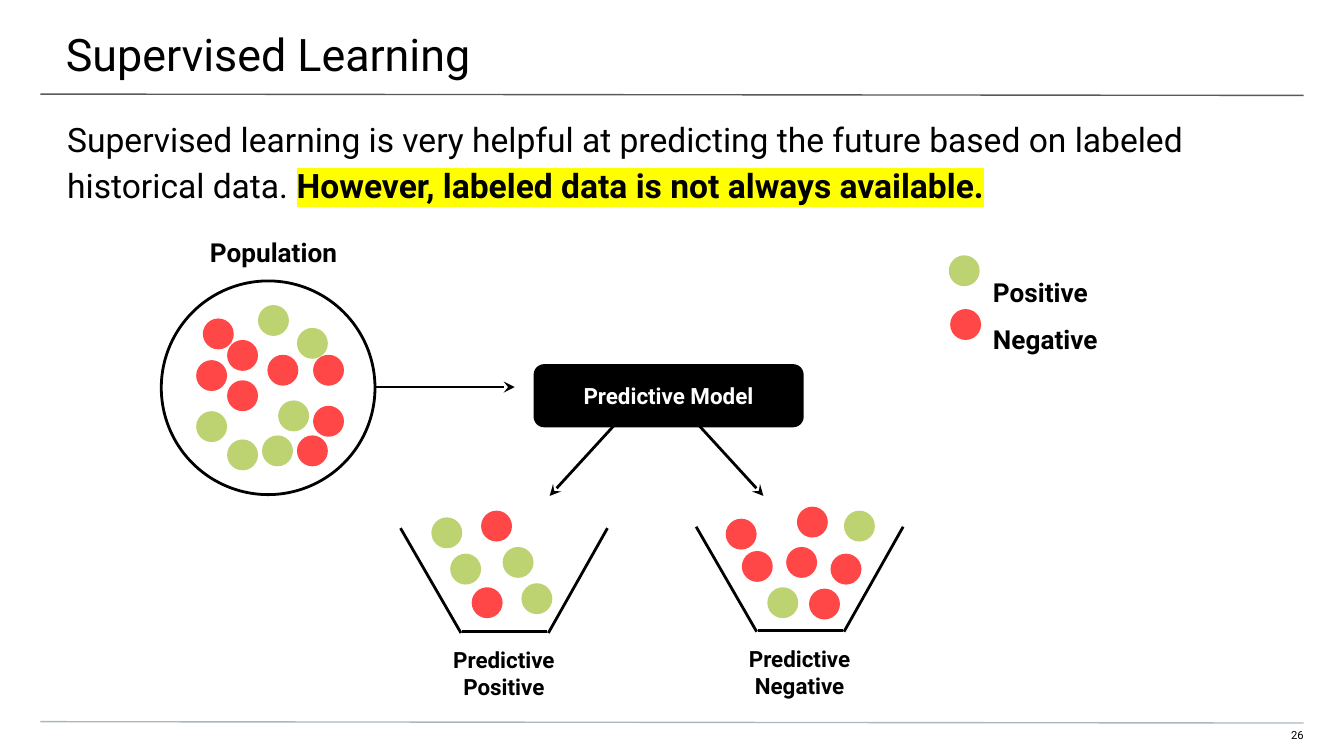
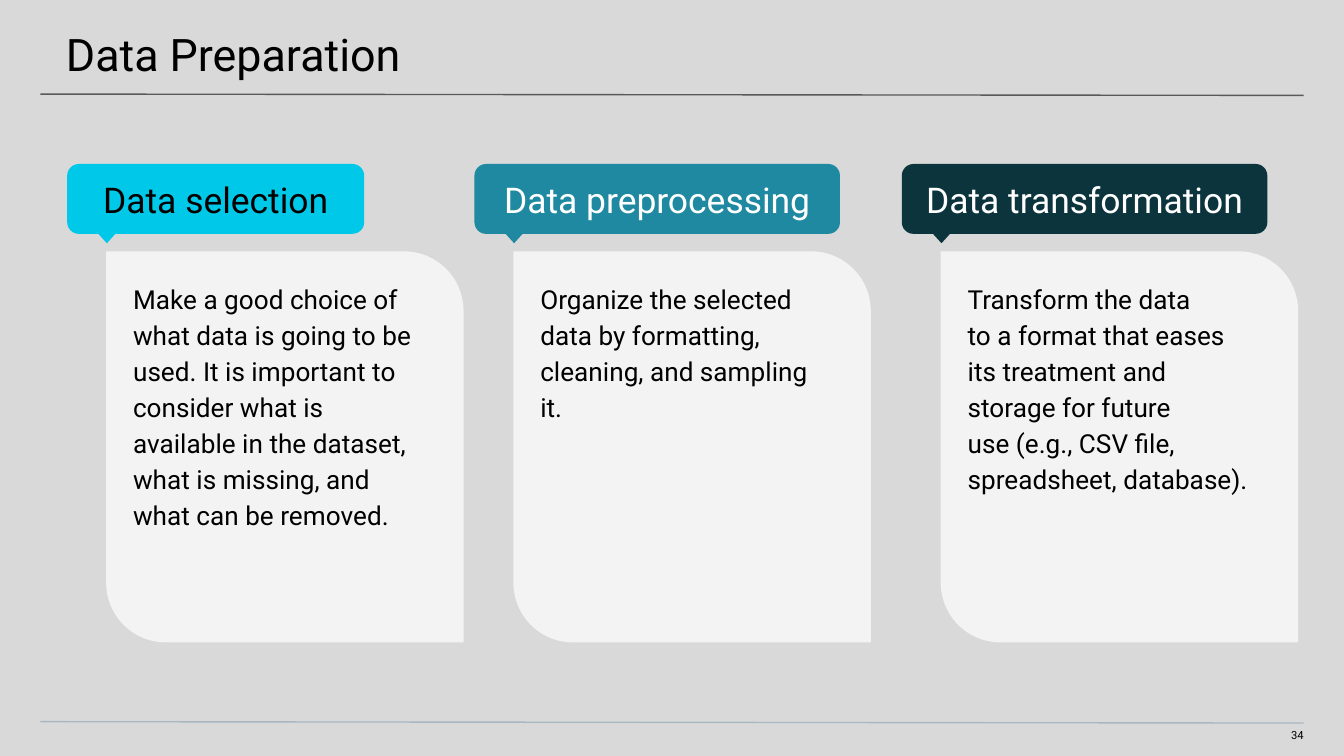
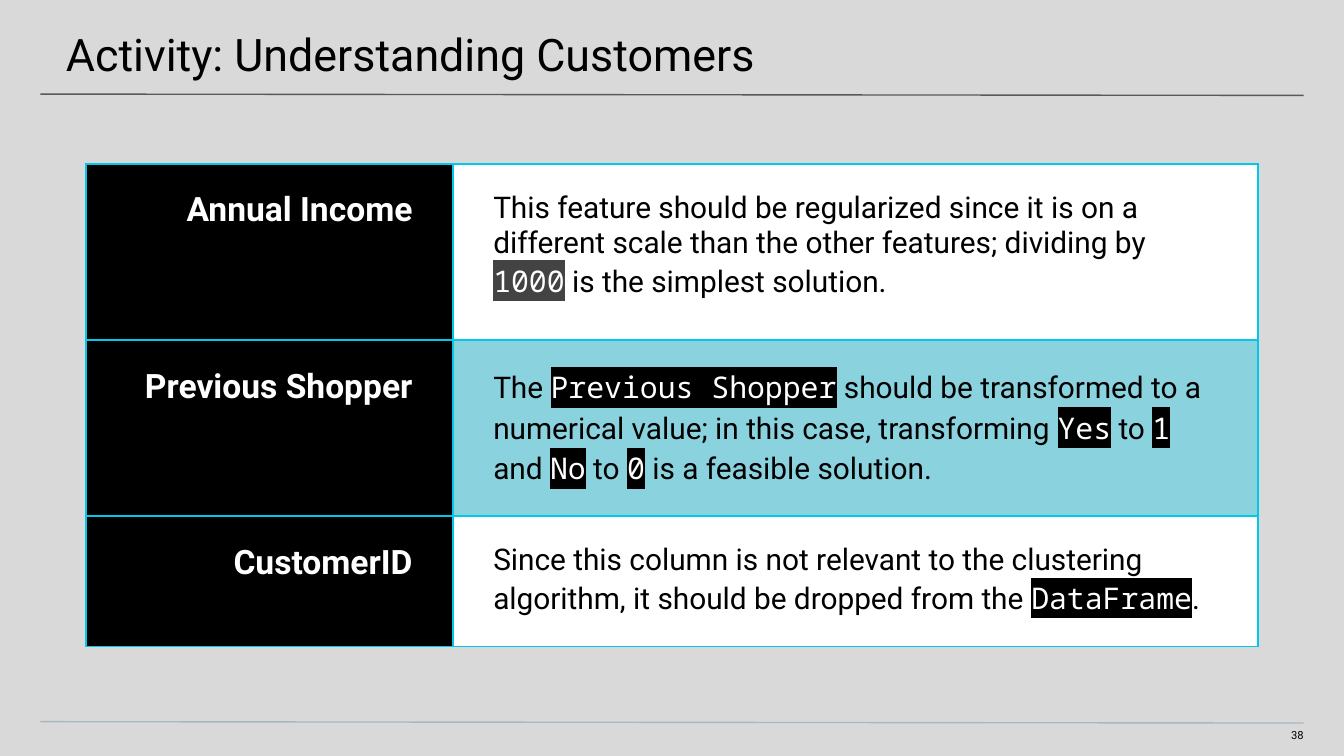
"""Build three slides on supervised learning and data preparation."""
from lxml.etree import SubElement
from pptx import Presentation
from pptx.dml.color import RGBColor
from pptx.enum.shapes import MSO_CONNECTOR, MSO_SHAPE as Kind
from pptx.enum.text import MSO_ANCHOR as Anchor, MSO_AUTO_SIZE as Auto, PP_ALIGN as Align
from pptx.oxml.ns import qn
from pptx.util import Inches, Pt

BLACK = RGBColor(0x00, 0x00, 0x00)
WHITE = RGBColor(0xFF, 0xFF, 0xFF)
GRAY = RGBColor(0xD9, 0xD9, 0xD9)
PALE = RGBColor(0xF3, 0xF3, 0xF3)
RULE = RGBColor(0x59, 0x59, 0x59)
FOOT = RGBColor(0xA9, 0xB7, 0xC0)
SLATE = RGBColor(0x43, 0x43, 0x43)
YELLOW = RGBColor(0xFF, 0xFF, 0x00)
GREEN = RGBColor(0xAF, 0xCA, 0x54)
RED = RGBColor(0xFF, 0x00, 0x00)
CYAN = RGBColor(0x00, 0xC8, 0xE9)
TEAL = RGBColor(0x1E, 0x89, 0xA0)
DEEP = RGBColor(0x0C, 0x34, 0x3D)
FONT = "Roboto"
MONO = "Noto Sans Mono"
ALPHA = {GREEN: 82, RED: 72}
WIDE = 10
DOT = 0.23

CROWD = {
    GREEN: [(2.21, 2.44), (1.92, 2.27), (2.07, 2.98), (1.69, 3.27),
            (1.46, 3.06), (1.95, 3.24)],
    RED: [(1.51, 2.37), (1.69, 2.53), (1.69, 2.83), (1.46, 2.68),
          (1.99, 2.64), (2.33, 2.64), (2.33, 3.02), (2.21, 3.24)],
}
LEFT = {
    GREEN: [(3.21, 3.85), (3.35, 4.12), (3.74, 4.07), (3.88, 4.34)],
    RED: [(3.51, 4.37), (3.58, 3.8)],
}
RIGHT = {
    GREEN: [(5.71, 4.37), (6.28, 3.8)],
    RED: [(6.02, 4.38), (6.18, 4.12), (5.85, 4.07), (5.52, 4.1),
          (5.93, 3.77), (5.4, 3.86)],
}
LEGEND = {GREEN: [(7.06, 1.9)], RED: [(7.07, 2.3)]}

CARDS = [
    (0.5, 2.21, CYAN, BLACK, "Data selection",
     "Make a good choice of what data is going to be used. It is important to "
     "consider what is available in the dataset, what is missing, and what can "
     "be removed."),
    (3.53, 2.72, TEAL, WHITE, "Data preprocessing",
     "Organize the selected data by formatting, cleaning, and sampling it."),
    (6.71, 2.72, DEEP, WHITE, "Data transformation",
     "Transform the data \vto a format that eases \vits treatment and \v"
     "storage for future \vuse (e.g., CSV file, spreadsheet, database)."),
]

ROWS = [
    (1.31, "Annual Income", WHITE, SLATE,
     "This feature should be regularized since it is on a different scale than "
     "the other features; dividing by `1000` is the simplest solution."),
    (1.31, "Previous Shopper", CYAN, BLACK,
     "The `Previous Shopper` should be transformed to a numerical value; in "
     "this case, transforming `Yes` to `1` and `No` to `0` is a feasible solution."),
    (0.97, "CustomerID", WHITE, BLACK,
     "Since this column is not relevant to the clustering algorithm, it should "
     "be dropped from the `DataFrame`."),
]


def box(*sides):
    return [Inches(side) for side in sides]


def pad(item, left, top, right, bottom):
    item.margin_left, item.margin_top = Inches(left), Inches(top)
    item.margin_right, item.margin_bottom = Inches(right), Inches(bottom)


def style(para, size, color=BLACK, bold=False, align=Align.LEFT, space=1.0):
    para.alignment = align
    para.line_spacing = space
    para.space_before = Pt(0)
    font = para.font
    font.name, font.size, font.bold = FONT, Pt(size), bold
    font.color.rgb = color


def mark(run, ink, back):
    run.font.color.rgb = ink
    light = run.font._element.makeelement(qn("a:highlight"), {})
    SubElement(light, qn("a:srgbClr"), val=str(back))
    run.font._element.find(qn("a:solidFill")).addnext(light)


def fade(props, share):
    color = props.find(qn("a:solidFill"))[0]
    SubElement(color, qn("a:alpha"), val=str(share * 1000))


def line(slide, start, end, color=BLACK, width=1.5, arrow=False):
    link = slide.shapes.add_connector(MSO_CONNECTOR.STRAIGHT, *box(*start, *end))
    link.line.color.rgb = color
    link.line.width = Pt(width)
    props = link._element.spPr
    if arrow:
        SubElement(props.find(qn("a:ln")), qn("a:tailEnd"), type="stealth")
    SubElement(props, qn("a:effectLst"))


def shape(slide, kind, place, fill, edge=None):
    item = slide.shapes.add_shape(kind, *box(*place))
    item.shadow.inherit = False
    item.fill.solid()
    item.fill.fore_color.rgb = fill
    if edge is None:
        item.line.fill.background()
    else:
        item.line.color.rgb = edge
        item.line.width = Pt(1.5)
    return item


def label(slide, place, text, size, inset=(0.1,) * 4, **look):
    frame = slide.shapes.add_textbox(*box(*place)).text_frame
    frame.word_wrap = True
    pad(frame, *inset)
    frame.text = text
    for para in frame.paragraphs:
        style(para, size, **look)


def badge(slide, place, fill, text, size, ink, bold=False):
    item = shape(slide, Kind.ROUNDED_RECTANGLE, place, fill)
    frame = item.text_frame
    frame.vertical_anchor = Anchor.MIDDLE
    pad(frame, *(0.1,) * 4)
    frame.text = text
    style(frame.paragraphs[0], size, ink, bold, Align.CENTER)


def holder(item, place, inset):
    item.left, item.top, item.width, item.height = box(*place)
    frame = item.text_frame
    frame.word_wrap = True
    frame.auto_size = Auto.NONE
    frame.vertical_anchor = Anchor.TOP
    pad(frame, *inset)
    return frame


def page(deck, layout, back, title, number):
    slide = deck.slides.add_slide(deck.slide_layouts[layout])
    slide.background.fill.solid()
    slide.background.fill.fore_color.rgb = back
    label(slide, (9.41, 5.42, 0.29, 0.12), str(number), 6, (0, 0, 0, 0.1),
          align=Align.RIGHT)
    line(slide, (0.3, 0.7), (9.7, 0.71), RULE, 0.75)
    line(slide, (0.3, 5.37), (9.7, 5.38), FOOT, 0.75)
    frame = holder(slide.shapes.title, (-0.01, 0, 10.03, 0.58), (0.5, 0.2, 0.3, 0.1))
    frame.text = title
    style(frame.paragraphs[0], 24)
    return slide


def dots(slide, group):
    for color, spots in group.items():
        for x, y in spots:
            item = shape(slide, Kind.OVAL, (x, y, DOT, DOT), color)
            fade(item._element.spPr, ALPHA[color])


def bowl(slide, x, y, group, text):
    line(slide, (x, y), (x + 0.45, y + 0.78))
    line(slide, (x + 1.54, y), (x + 1.1, y + 0.78))
    line(slide, (x + 0.46, y + 0.77), (x + 1.09, y + 0.77))
    dots(slide, group)
    label(slide, (x + 0.07, y + 0.78, 1.4, 0.47), text, 12, bold=True,
          align=Align.CENTER)


def intro(slide):
    frame = holder(slide.placeholders[1], (0, 0.74, 10, 0.4), (0.5, 0.1, 0.5, 0))
    para = frame.paragraphs[0]
    props = para._p.get_or_add_pPr()
    props.set("marL", "0")
    props.set("indent", "0")
    SubElement(props, qn("a:buNone"))
    style(para, 18, space=1.15)
    para.add_run().text = ("Supervised learning is very helpful at predicting the "
                           "future based on labeled historical data. ")
    run = para.add_run()
    run.text = "However, labeled data is not always available."
    run.font.bold = True
    mark(run, BLACK, YELLOW)


def model(slide):
    intro(slide)
    line(slide, (4.84, 2.87), (4.09, 3.69), arrow=True)
    line(slide, (4.93, 2.87), (5.68, 3.69), arrow=True)
    line(slide, (2.72, 2.88), (3.83, 2.88), arrow=True)
    shape(slide, Kind.OVAL, (1.2, 2.09, 1.59, 1.59), WHITE, BLACK)
    dots(slide, CROWD)
    label(slide, (1.11, 1.66, 1.85, 0.47), "Population", 14, bold=True,
          align=Align.CENTER)
    badge(slide, (3.97, 2.71, 2.01, 0.47), BLACK, "Predictive Model", 12, WHITE, True)
    bowl(slide, 2.98, 3.93, LEFT, "Predictive Positive")
    bowl(slide, 5.18, 3.92, RIGHT, "Predictive Negative")
    dots(slide, LEGEND)
    label(slide, (7.29, 1.84, 1.4, 0.47), "Positive\nNegative", 14, bold=True, space=1.5)


def card(slide, x, width, fill, ink, head, text):
    panel = shape(slide, Kind.ROUND_2_DIAG_RECTANGLE, (x + 0.29, 1.87, 2.66, 2.91), PALE)
    panel.adjustments[0], panel.adjustments[1] = 0, 0.167
    label(slide, (x + 0.29, 1.87, 2.59, 2.91), text, 14, (0.2,) * 4, space=1.15)
    badge(slide, (x, 1.22, width, 0.52), fill, head, 19, ink)
    tip = shape(slide, Kind.FLOWCHART_EXTRACT, (x + 0.15, 1.65, 0.29, 0.16), fill)
    tip.rotation = 180


def cell(item, fill):
    pad(item, 0.3, 0.2, 0.3, 0.2)
    item.fill.solid()
    item.fill.fore_color.rgb = fill
    props = item._tc.tcPr
    if fill == CYAN:
        fade(props, 37)
    for spot, side in enumerate(("lnL", "lnR", "lnT", "lnB")):
        edge = props.makeelement(qn(f"a:{side}"), {"w": str(Pt(0.75))})
        solid = SubElement(edge, qn("a:solidFill"))
        SubElement(solid, qn("a:srgbClr"), val=str(CYAN))
        props.insert(spot, edge)
    return item.text_frame.paragraphs[0]


def grid(slide):
    high = sum(row[0] for row in ROWS)
    table = slide.shapes.add_table(len(ROWS), 2, *box(0.64, 1.22, 8.72, high)).table
    table.first_row = table.horz_banding = False
    table.columns[0].width, table.columns[1].width = box(2.73, 5.99)
    for spot, (tall, name, fill, back, text) in enumerate(ROWS):
        table.rows[spot].height = Inches(tall)
        para = cell(table.cell(spot, 0), BLACK)
        para.text = name
        style(para, 18, WHITE, True, Align.RIGHT)
        para = cell(table.cell(spot, 1), fill)
        style(para, 16)
        for turn, part in enumerate(text.split("`")):
            run = para.add_run()
            run.text = part
            if turn % 2:
                run.font.name = MONO
                mark(run, WHITE, back)


def main():
    deck = Presentation()
    deck.slide_width, deck.slide_height = box(WIDE, WIDE * 9 / 16)
    model(page(deck, 1, WHITE, "Supervised Learning", 26))
    slide = page(deck, 5, GRAY, "Data Preparation", 34)
    for item in CARDS:
        card(slide, *item)
    grid(page(deck, 5, GRAY, "Activity: Understanding Customers", 38))
    deck.save("out.pptx")


if __name__ == "__main__":
    main()
